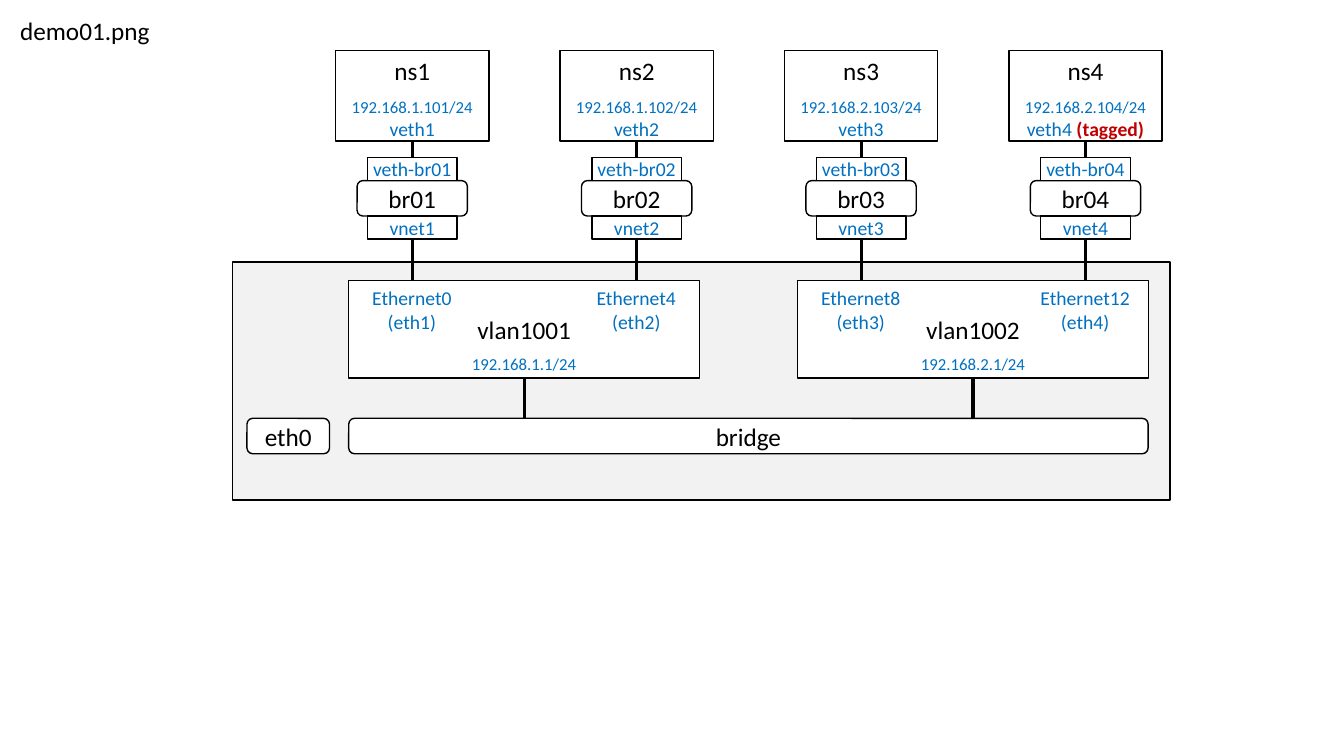
from pptx import Presentation
from pptx import util as u
from pptx.dml.color import RGBColor
from pptx.enum import shapes, text
from pptx.oxml import parse_xml
from pptx.oxml.ns import nsdecls

COLORS = {"ink": "000000", "paper": "FFFFFF", "chassis": "F2F2F2",
          "port": "0070C0", "alert": "C00000"}
FONT = "Calibri"
RECT = shapes.MSO_SHAPE.RECTANGLE
ROUND = shapes.MSO_SHAPE.ROUNDED_RECTANGLE
TOP, MIDDLE = text.MSO_ANCHOR.TOP, text.MSO_ANCHOR.MIDDLE
PITCH = 160.3  # distance between neighbouring namespaces


def rgb(name):
    return RGBColor.from_string(COLORS[name])


def format_run(span, size, color):
    span.font.name = FONT
    span.font.size = u.Pt(size)
    span.font.color.rgb = rgb(color)


def write(shape, lines, color="ink", anchor=MIDDLE, tight=False,
          align=text.PP_ALIGN.CENTER):
    """Fill a shape with (words, size) lines; tight text has slim insets and no wrap."""
    frame = shape.text_frame
    frame.text = "\n".join(words for words, size in lines)
    frame.word_wrap = not tight
    frame.auto_size = text.MSO_AUTO_SIZE.NONE
    frame.vertical_anchor = anchor
    frame.margin_left = frame.margin_right = u.Pt(7.2)
    frame.margin_top = frame.margin_bottom = u.Pt(1.4 if tight else 3.6)
    for para, (words, size) in zip(frame.paragraphs, lines):
        para.alignment = align
        for span in para.runs:
            format_run(span, size, color)


def add_box(page, kind, box, fill="paper"):
    shape = page.shapes.add_shape(kind, *map(u.Pt, box))
    shape.shadow.inherit = False
    shape.fill.solid()
    shape.fill.fore_color.rgb = rgb(fill)
    shape.line.color.rgb = rgb("ink")
    shape.line.width = u.Pt(1)
    return shape


def add_label(page, box, lines, **style):
    label = page.shapes.add_textbox(*map(u.Pt, box))
    write(label, lines, "port", **style)
    return label


def add_link(page, x, top, bottom):
    link = page.shapes.add_connector(
        shapes.MSO_CONNECTOR.STRAIGHT, *map(u.Pt, (x, top, x, bottom)))
    link.line.color.rgb = rgb("ink")
    link.line.width = u.Pt(2.25)
    link._element.spPr.append(parse_xml(f"<a:effectLst {nsdecls('a')}/>"))


def draw_title(page, box, words):
    title = page.shapes.title
    title.left, title.top, title.width, title.height = map(u.Pt, box)
    write(title, [(words, 18)], anchor=TOP, align=text.PP_ALIGN.LEFT)


def draw_vlan(page, box, name, address, ports):
    left, top, width, height = box
    center = left + width / 2
    write(add_box(page, RECT, box), [(name, 18)])
    add_label(page, (center - 53, top + 49.2, 106, 20.2), [(address, 12)], tight=True)
    for side, port in zip((-1, 1), ports):
        add_label(page, (center + side * PITCH / 2 - 40.7, top + 0.7, 81.4, 41),
                  [(words, 14) for words in port], anchor=TOP)
    add_link(page, center, top + height, top + height + 28.8)


def draw_switch(page, box):
    left, top, width, height = box
    add_box(page, RECT, box, "chassis")
    # Management port and shared bridge
    for offset, wide, name in ((10.1, 59, "eth0"), (82.8, 571, "bridge")):
        write(add_box(page, ROUND, (left + offset, top + 111.6, wide, 25.3)), [(name, 18)])
    # VLANs, each serving two namespaces
    for i in range(2):
        ports = [(f"Ethernet{4 * n}", f"(eth{n + 1})") for n in (2 * i, 2 * i + 1)]
        draw_vlan(page, (left + 82.8 + 2 * PITCH * i, top + 13, 250.6, 69.8),
                  f"vlan100{i + 1}", f"192.168.{i + 1}.1/24", ports)


def draw_namespace(page, box, number, subnet, tagged=False):
    left, top, width, height = box
    center = left + width / 2
    add_link(page, center, top + 64.8, top + height)
    # Namespace with its interface
    write(add_box(page, RECT, (left, top, width, 64.8)), [(f"ns{number}", 18)], anchor=TOP)
    label = add_label(page, (center - 43.6, top + 32.4, 87.2, 32.4),
                      [(f"192.168.{subnet}.10{number}/24", 12), (f"veth{number}", 14)],
                      tight=True)
    if tagged:
        span = label.text_frame.paragraphs[1].add_run()
        span.text = " (tagged)"
        format_run(span, 14, "alert")
        span.font.bold = True
    # Bridge between its two ports
    for kind, offset, wide, high, name, size, color in (
            (ROUND, 93, 78.8, 25.3, f"br0{number}", 18, "ink"),
            (RECT, 76.4, 64, 16.6, f"veth-br0{number}", 14, "port"),
            (RECT, 118.2, 64, 16.6, f"vnet{number}", 14, "port")):
        part = add_box(page, kind, (center - wide / 2, top + offset, wide, high))
        write(part, [(name, size)], color, tight=True)


deck = Presentation()
deck.slide_width, deck.slide_height = u.Pt(960), u.Pt(540)
page = deck.slides.add_slide(deck.slide_layouts[5])
draw_title(page, (7.2, 7.2, 109.4, 29), "demo01.png")
draw_switch(page, (166.3, 187.2, 669.6, 169.9))
for i in range(4):
    draw_namespace(page, (239.8 + PITCH * i, 36, 109.4, 164.8),
                   i + 1, i // 2 + 1, tagged=i == 3)
deck.save("out.pptx")
